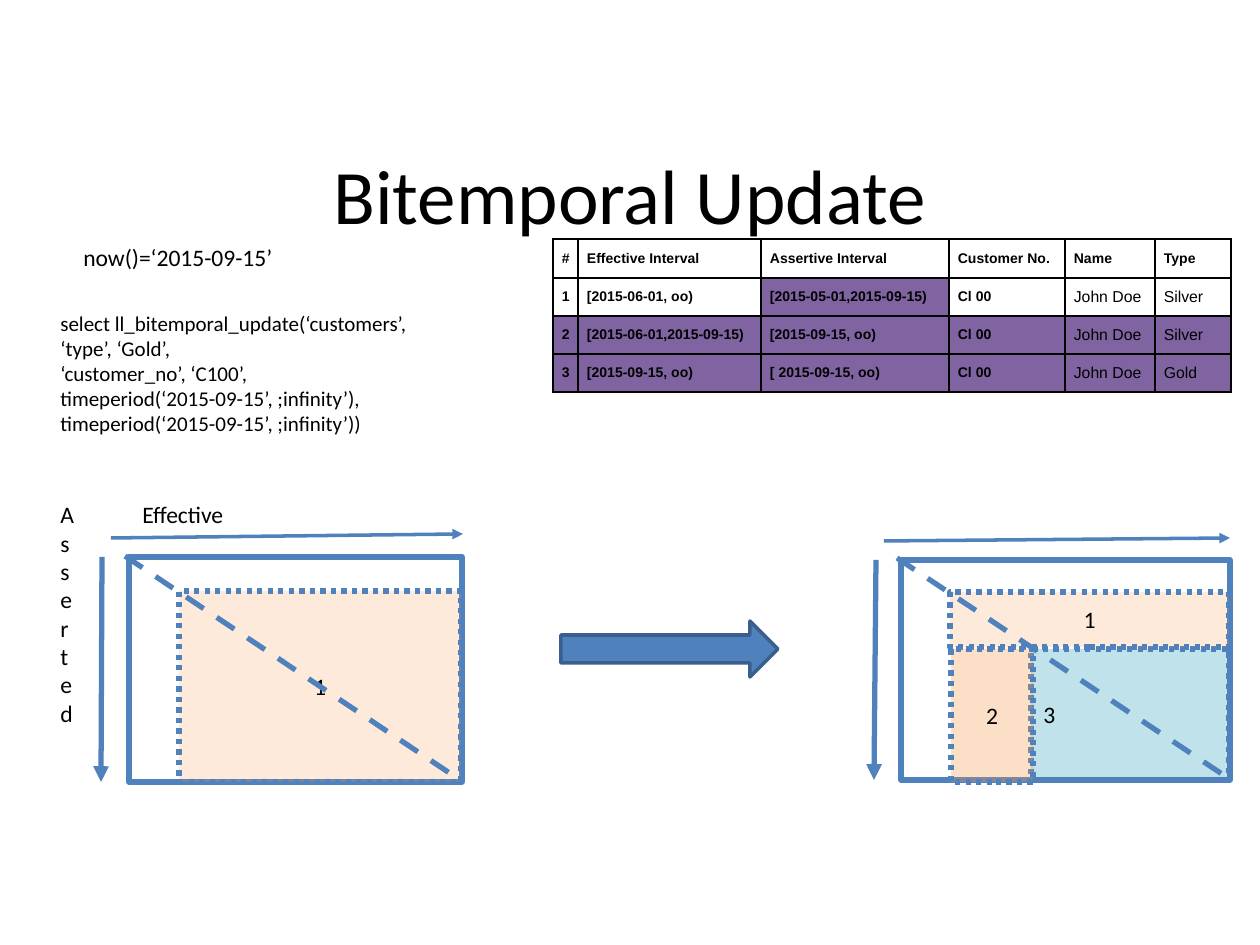
from lxml import etree
from pptx import Presentation
from pptx.dml.color import RGBColor
from pptx.enum.dml import MSO_LINE
from pptx.enum.shapes import MSO_CONNECTOR, MSO_SHAPE
from pptx.enum.text import MSO_ANCHOR, PP_ALIGN
from pptx.oxml.ns import qn
from pptx.util import Pt

RECT, ARROW = MSO_SHAPE.RECTANGLE, MSO_SHAPE.RIGHT_ARROW
DOT, DASH = MSO_LINE.ROUND_DOT, MSO_LINE.DASH
LEFT, CENTER = PP_ALIGN.LEFT, PP_ALIGN.CENTER
TOP, MIDDLE = MSO_ANCHOR.TOP, MSO_ANCHOR.MIDDLE
STRAIGHT = MSO_CONNECTOR.STRAIGHT
TITLE_ONLY = 5
EMU_PER_PX = 914400 / 126

COLORS = {"ink": "000000", "blue": "4F81BD", "edge": "3A5F8C",
          "orange": "F79646", "aqua": "4BACC6", "purple": "8064A2"}


def px(*lengths):
    return [round(length * EMU_PER_PX) for length in lengths]


def color(name):
    return RGBColor.from_string(COLORS[name])


class Painter:
    """Holds the text style, the slide and the shape collection in use."""

    def __init__(self, slide):
        self.slide = slide
        self.shapes = slide.shapes
        self.font = "Calibri"
        self.size = 13.5

    def group(self):
        self.shapes = self.slide.shapes.add_group_shape().shapes

    def end_group(self):
        self.shapes = self.slide.shapes

    def add_lines(self, frame, lines, size=None, font=None, bold=False,
                  align=LEFT, anchor=TOP):
        frame.word_wrap = True
        frame.vertical_anchor = anchor
        for index, line in enumerate(lines):
            para = frame.paragraphs[0] if index == 0 else frame.add_paragraph()
            para.alignment = align
            span = para.add_run()
            span.text = line
            span.font.name = font or self.font
            span.font.size = Pt(size or self.size)
            span.font.bold = bold
            span.font.color.rgb = color("ink")

    def title(self, text, *place):
        box = self.slide.shapes.title
        box.left, box.top, box.width, box.height = px(*place)
        self.add_lines(box.text_frame, [text], 44, align=CENTER, anchor=MIDDLE)

    def text(self, lines, *place, size=None, stacked=False):
        box = self.shapes.add_textbox(*px(*place))
        self.add_lines(box.text_frame, lines, size)
        if stacked:
            box.text_frame._txBody.bodyPr.set("vert", "wordArtVert")

    def stroke(self, line, name, width, dash=None):
        line.color.rgb = color(name)
        line.width = Pt(width)
        if dash is not None:
            line.dash_style = dash

    def shape(self, kind, *place, fill=None, opacity=100, line="blue",
              width=3, dash=None, label=None, align=CENTER):
        box = self.shapes.add_shape(kind, *px(*place))
        box.shadow.inherit = False
        if fill:
            box.fill.solid()
            box.fill.fore_color.rgb = color(fill)
            tone = box._element.spPr.find(qn("a:solidFill"))[0]
            etree.SubElement(tone, qn("a:alpha"), val=str(opacity * 1000))
        else:
            box.fill.background()
        self.stroke(box.line, line, width, dash)
        if label:
            self.add_lines(box.text_frame, [label], align=align, anchor=MIDDLE)

    def line(self, *ends, width=3, dash=None, arrow=False):
        link = self.shapes.add_connector(STRAIGHT, *px(*ends))
        self.stroke(link.line, "blue", width, dash)
        props = link._element.spPr
        if arrow:
            etree.SubElement(props.find(qn("a:ln")), qn("a:tailEnd"),
                             type="triangle")
        etree.SubElement(props, qn("a:effectLst"))

    def border(self, cell):
        props = cell._tc.get_or_add_tcPr()
        for index, side in enumerate(("lnL", "lnR", "lnT", "lnB")):
            edge = etree.Element(qn("a:" + side), w=str(int(Pt(1))))
            fill = etree.SubElement(edge, qn("a:solidFill"))
            etree.SubElement(fill, qn("a:srgbClr"), val=COLORS["ink"])
            props.insert(index, edge)

    def table(self, rows, shaded, left, top, widths, heights):
        frame = self.shapes.add_table(
            len(rows), len(widths),
            *px(left, top, sum(widths), sum(heights)))
        table = frame.table
        table.first_row = table.horz_banding = False
        for column, width in zip(table.columns, px(*widths)):
            column.width = width
        for row, height in zip(table.rows, px(*heights)):
            row.height = height
        for r, values in enumerate(rows):
            for c, value in enumerate(values):
                cell = table.cell(r, c)
                cell.margin_left = cell.margin_right = 0
                cell.margin_top = cell.margin_bottom = 0
                plain = r > 0 and c > 3
                self.add_lines(cell.text_frame, [value], 9 if plain else 8,
                               "Arial", bold=not plain)
                cell.vertical_anchor = MIDDLE
                para = cell.text_frame.paragraphs[0]
                para._p.get_or_add_pPr().set("indent", str(px(9)[0]))
                if (r, c) in shaded:
                    cell.fill.solid()
                    cell.fill.fore_color.rgb = color("purple")
                else:
                    cell.fill.background()
                self.border(cell)

    def axes(self, effective, diagonal, asserted):
        self.line(*effective, width=2, arrow=True)
        self.line(*diagonal, dash=DASH)
        self.line(*asserted, arrow=True)


def main():
    deck = Presentation()
    deck.slide_width, deck.slide_height = px(1260, 945)
    painter = Painter(deck.slides.add_slide(deck.slide_layouts[TITLE_ONLY]))
    painter.title("Bitemporal Update", 87, 140, 1086, 107)

    # Table after the update, with the changed cells shaded
    rows = [
        ["#", "Effective Interval", "Assertive Interval", "Customer No.",
         "Name", "Type"],
        ["1", "[2015-06-01, oo)", "[2015-05-01,2015-09-15)", "Cl 00",
         "John Doe", "Silver"],
        ["2", "[2015-06-01,2015-09-15)", "[2015-09-15, oo)", "Cl 00",
         "John Doe", "Silver"],
        ["3", "[2015-09-15, oo)", "[ 2015-09-15, oo)", "Cl 00",
         "John Doe", "Gold"],
    ]
    shaded = {(1, 2)} | {(r, c) for r in (2, 3) for c in range(6)}
    painter.table(rows, shaded, 553, 239, [25, 183, 188, 116, 90, 76],
                  [39, 38, 38, 38])

    painter.text(["Asserted"], 48, 494, 59, 306, stacked=True)

    # Before: one region
    painter.group()
    painter.shape(RECT, 129, 557, 333, 225)
    painter.shape(RECT, 179, 591, 282, 191, fill="orange", opacity=20,
                  dash=DOT, label="1")
    painter.axes((111, 538, 463, 534), (125, 556, 463, 782),
                 (102, 557, 101, 782))

    # After: three regions
    painter.group()
    painter.shape(RECT, 1031, 649, 198, 131, fill="aqua", opacity=35,
                  dash=DOT, label="3", align=LEFT)
    painter.shape(RECT, 901, 560, 329, 220)
    painter.shape(RECT, 950, 592, 279, 55, fill="orange", opacity=20,
                  dash=DOT, label="1")
    painter.shape(RECT, 951, 649, 82, 133, fill="orange", opacity=30,
                  dash=DOT, label="2")
    painter.axes((884, 541, 1230, 538), (897, 558, 1231, 780),
                 (876, 560, 874, 780))
    painter.end_group()

    # Labels, step arrow and the call
    painter.text(["Effective"], 130, 494, 120, 42)
    painter.shape(ARROW, 561, 621, 217, 56, fill="blue", line="edge", width=2)
    painter.text(["now()=‘2015-09-15’"], 71, 237, 280, 42)
    painter.text(["select ll_bitemporal_update(‘customers’,",
                  "‘type’, ‘Gold’,",
                  "‘customer_no’, ‘C100’,",
                  "timeperiod(‘2015-09-15’, ;infinity’),",
                  "timeperiod(‘2015-09-15’, ;infinity’))"],
                 48, 304, 415, 165, size=12)
    deck.save("out.pptx")


if __name__ == "__main__":
    main()
